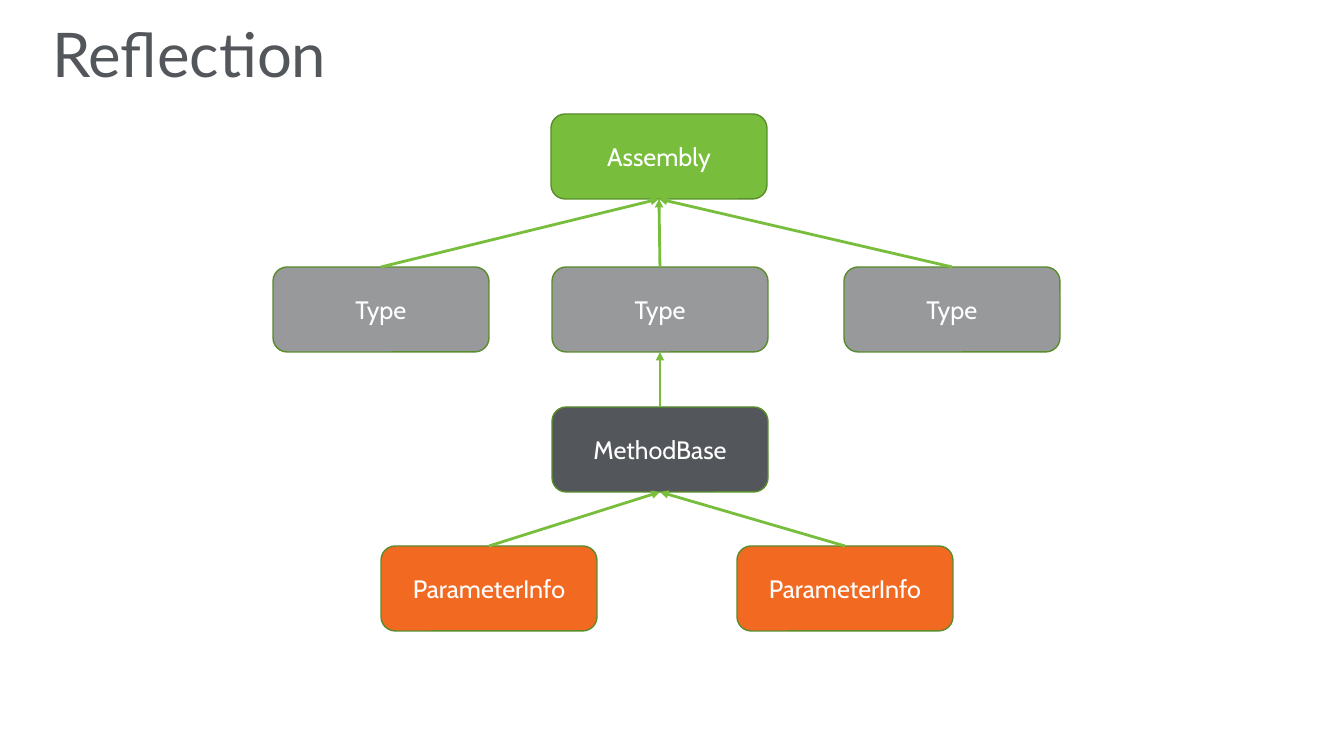
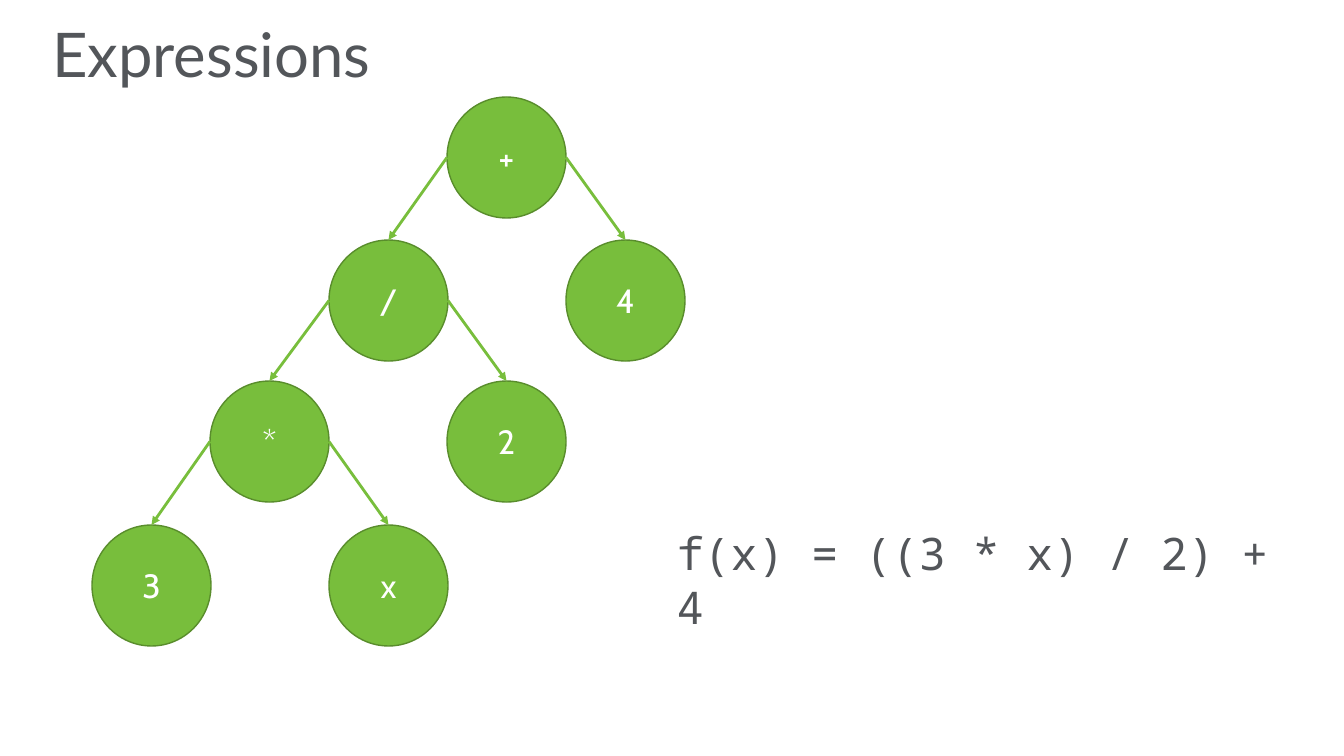
from lxml import etree
from pptx import Presentation
from pptx import util as u
from pptx.dml.color import RGBColor
from pptx.enum import shapes, text
from pptx.oxml.ns import qn

PX = 914400 / 100.8  # EMU per px
GREEN, EDGE, GREY = "78BE3C", "598D2C", "97999B"
DARK, ORANGE, WHITE = "53565A", "F26A21", "FFFFFF"
rgb = RGBColor.from_string


def add_node(s, kind, box, fill, label, size):
    sp = s.shapes.add_shape(kind, *[u.Emu(round(v * PX)) for v in box])
    sp.shadow.inherit = False
    sp.fill.solid()
    sp.fill.fore_color.rgb = rgb(fill)
    sp.line.color.rgb = rgb(EDGE)
    sp.line.width = u.Pt(1)
    tf = sp.text_frame
    tf.vertical_anchor = text.MSO_ANCHOR.MIDDLE
    p = tf.paragraphs[0]
    p.alignment = text.PP_ALIGN.CENTER
    r = p.add_run()
    r.text = label
    r.font.name, r.font.size = "Cabin", u.Pt(size)
    r.font.color.rgb = rgb(WHITE)
    return sp


def add_arrow(s, x1, y1, x2, y2):
    cx = s.shapes.add_connector(shapes.MSO_CONNECTOR.STRAIGHT, x1, y1, x2, y2)
    cx.line.color.rgb = rgb(GREEN)
    cx.line.width = u.Pt(2)
    ln = cx.line._get_or_add_ln()
    etree.SubElement(ln, qn("a:tailEnd"), type="triangle")
    etree.SubElement(cx._element.spPr, qn("a:effectLst"))
    return cx


prs = Presentation()
prs.slide_width, prs.slide_height = round(1344 * PX), round(756 * PX)

# Slides with their titles
slides = []
for title in ("Reflection", "Expressions"):
    s = prs.slides.add_slide(prs.slide_layouts[5])
    sp = s.shapes.title
    sp.left, sp.top, sp.width, sp.height = [round(v * PX) for v in (42, 28, 1259, 60)]
    tf = sp.text_frame
    tf.auto_size = text.MSO_AUTO_SIZE.NONE
    tf.vertical_anchor = text.MSO_ANCHOR.MIDDLE
    p = tf.paragraphs[0]
    p.alignment = text.PP_ALIGN.LEFT
    p.line_spacing = 0.9
    r = p.add_run()
    r.text = title
    r.font.name, r.font.size = "Lato", u.Pt(44)
    r.font.color.rgb = rgb(DARK)
    slides.append(s)
reflection, expressions = slides

# Reflection: label, fill, left, top, index of parent
members = [
    ("Assembly", GREEN, 551, 114, None),
    ("Type", GREY, 273, 267, 0),
    ("Type", GREY, 552, 267, 0),
    ("Type", GREY, 844, 267, 0),
    ("MethodBase", DARK, 552, 407, 2),
    ("ParameterInfo", ORANGE, 381, 546, 4),
    ("ParameterInfo", ORANGE, 737, 546, 4),
]
boxes = [
    add_node(reflection, shapes.MSO_SHAPE.ROUNDED_RECTANGLE,
             (x, y, 216, 85), fill, label, 18)
    for label, fill, x, y, _ in members
]
for box, (*_, parent) in zip(boxes, members):
    if parent is not None:
        cx = add_arrow(reflection, 0, 0, 0, 0)
        cx.begin_connect(box, 0)
        cx.end_connect(boxes[parent], 2)

# Expressions: symbol, column, row, index of parent
terms = [
    ("+", 3, 0, None),
    ("/", 2, 1, 0),
    ("4", 4, 1, 0),
    ("*", 1, 2, 1),
    ("2", 3, 2, 1),
    ("3", 0, 3, 3),
    ("x", 2, 3, 3),
]
row_tops = (97, 240, 381, 525)
circles = [
    add_node(expressions, shapes.MSO_SHAPE.OVAL,
             (92 + col * 237 // 2, row_tops[row], 119, 121), GREEN, symbol, 24)
    for symbol, col, row, _ in terms
]
for child, (*_, parent) in zip(circles, terms):
    if parent is not None:
        top = circles[parent]
        side = top.left if child.left < top.left else top.left + top.width
        cx = add_arrow(expressions, side, top.top + top.height // 2, 0, 0)
        cx.end_connect(child, 0)

# Formula
sp = expressions.shapes.add_textbox(*[round(v * PX) for v in (667, 521, 634, 65)])
tf = sp.text_frame
tf.word_wrap = True
r = tf.paragraphs[0].add_run()
r.text = "f(x) = ((3 * x) / 2) + 4"
r.font.name, r.font.size = "Noto Sans Mono", u.Pt(32)
r.font.color.rgb = rgb(DARK)

prs.save("out.pptx")
